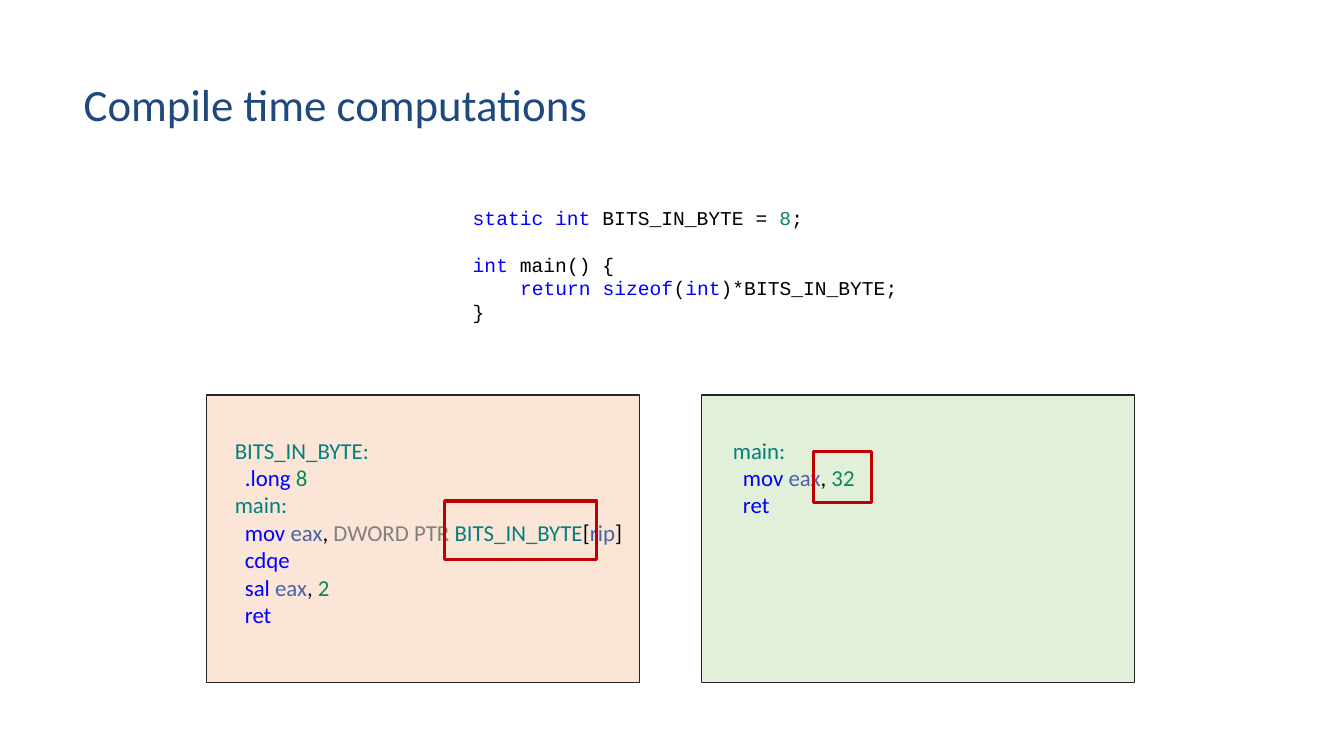
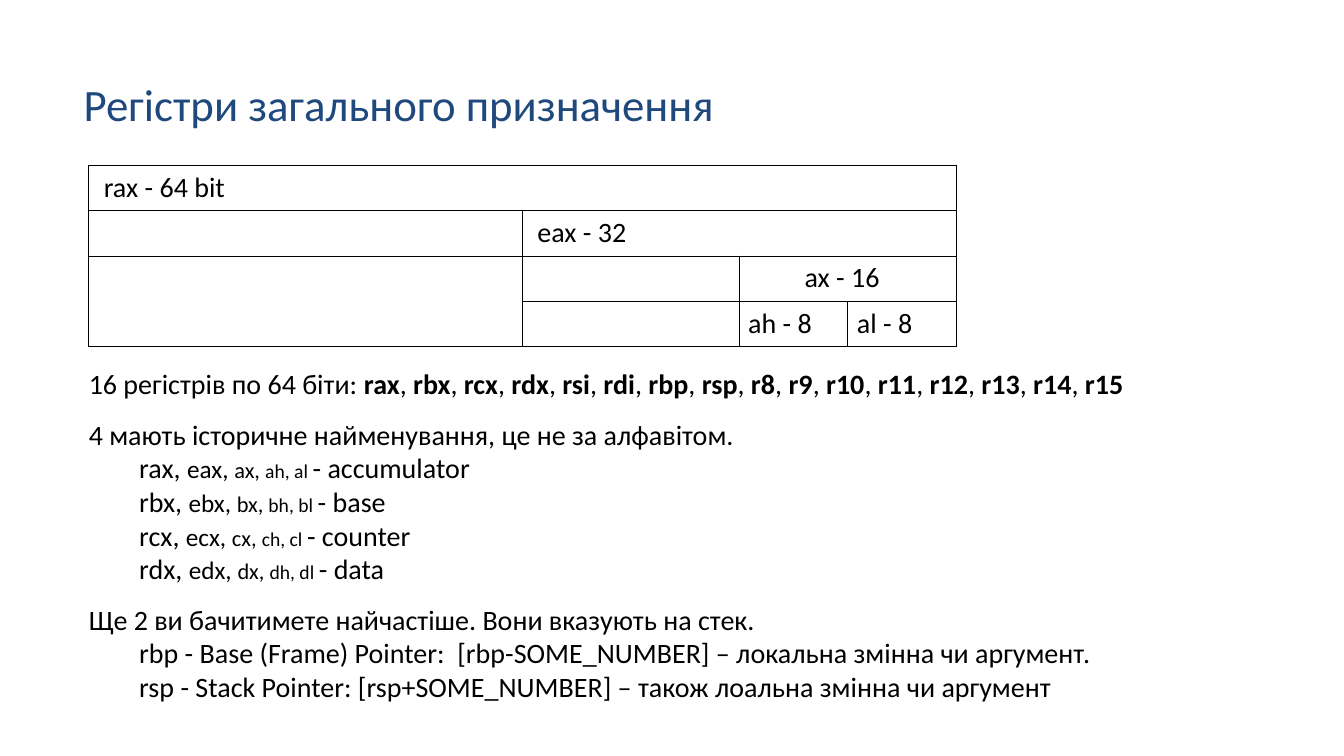
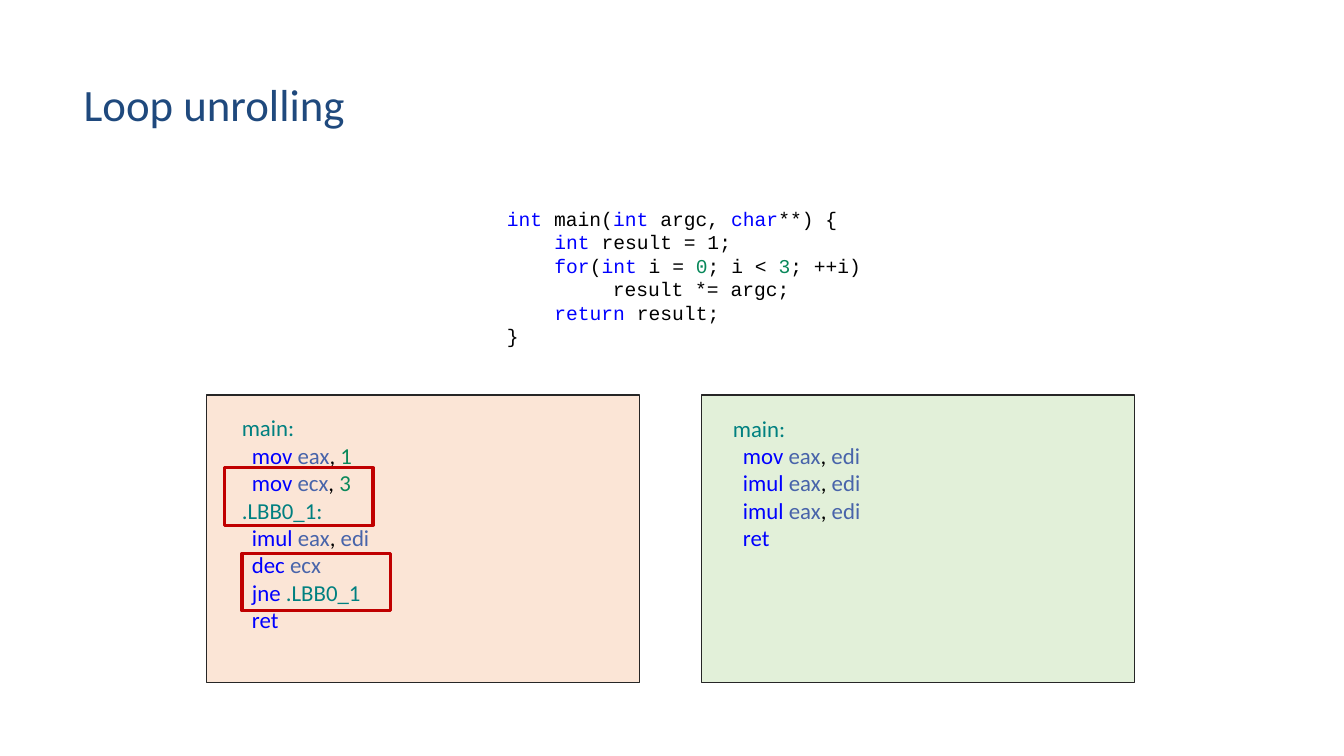
from dataclasses import dataclass
from functools import partial

from lxml.etree import SubElement
from pptx import Presentation
from pptx.dml.color import RGBColor
from pptx.enum.shapes import MSO_SHAPE
from pptx.enum.text import MSO_ANCHOR, MSO_AUTO_SIZE, PP_ALIGN
from pptx.oxml.ns import qn
from pptx.util import Pt

PX = 9144  # 100 px to the inch

BLACK, NAVY, RED, CHARCOAL = "000000", "1F497D", "C00000", "262626"
PEACH, MINT = "FBE5D6", "E2F0D9"
REGISTERS = {"eax", "ecx", "edi", "rip"}
ASSEMBLY_INDENT = 10
CODE_INDENT = 47
CODE_PITCH = 16.8


@dataclass
class Span:
    text: str
    color: str = BLACK
    size: float = None
    bold: bool = False


@dataclass
class Line:
    spans: list
    indent: int = 0
    before: float = 0
    after: float = 0


keyword = partial(Span, color="0000FF")
number = partial(Span, color="09885A")
label = partial(Span, color="008080")
register = partial(Span, color="4864AA")
directive = partial(Span, color="808080")


def rgb(color):
    return RGBColor.from_string(color)


def label_line(name):
    return Line([label(name)])


def instruction(opcode, *operands):
    """An indented assembly line; an operand is a word or a ready list of spans."""
    spans = [keyword(opcode + " " if operands else opcode)]
    for position, operand in enumerate(operands):
        if position:
            spans.append(Span(", "))
        if isinstance(operand, list):
            spans += operand
        elif operand.isdigit():
            spans.append(number(operand))
        else:
            spans.append((register if operand in REGISTERS else label)(operand))
    return Line(spans, ASSEMBLY_INDENT)


class SlideBuilder:
    def __init__(self):
        self.deck = Presentation()
        self.deck.slide_width, self.deck.slide_height = 1333 * PX, 750 * PX
        self.slide = None

    def new_slide(self, title, layout="Title Only"):
        self.slide = self.deck.slides.add_slide(self.deck.slide_layouts.get_by_name(layout))
        heading = self.slide.shapes.title
        self.place(heading, 73, 71, 1180, 64)
        self.fill_frame(heading.text_frame, [Line([Span(title, NAVY)])], 32)

    def place(self, shape, left, top, width, height):
        shape.left, shape.top = left * PX, top * PX
        shape.width, shape.height = width * PX, height * PX

    def fill_frame(self, frame, lines, size, font="Calibri", pitch=1.0):
        frame.word_wrap = True
        frame.auto_size = MSO_AUTO_SIZE.NONE
        frame.vertical_anchor = MSO_ANCHOR.TOP
        for position, line in enumerate(lines):
            para = frame.add_paragraph() if position else frame.paragraphs[0]
            self.fill_paragraph(para, line, size, font, pitch)

    def fill_paragraph(self, para, line, size, font="Calibri", pitch=1.0):
        para.alignment = PP_ALIGN.LEFT
        para.line_spacing = pitch
        para.space_before, para.space_after = Pt(line.before), Pt(line.after)
        properties = para._p.get_or_add_pPr()
        properties.set("marL", str(line.indent * PX))
        properties.set("indent", "0")
        SubElement(properties, qn("a:buNone"))
        for span in line.spans:
            run = para.add_run()
            run.text = span.text
            run.font.name, run.font.size = font, Pt(span.size or size)
            run.font.bold = span.bold
            run.font.color.rgb = rgb(span.color)

    def text(self, left, top, width, height, lines, **style):
        box = self.slide.shapes.add_textbox(left * PX, top * PX, width * PX, height * PX)
        self.fill_frame(box.text_frame, lines, **style)

    def code(self, left, top, width, height, lines):
        self.text(left, top, width, height, lines,
                  size=14, font="Courier New", pitch=Pt(CODE_PITCH))

    def assembly(self, left, top, width, height, lines):
        self.text(left, top, width, height, lines, size=16.3)

    def body(self, left, top, width, height, lines):
        holder = self.slide.placeholders[1]
        self.place(holder, left, top, width, height)
        frame = holder.text_frame
        frame.margin_left = frame.margin_right = 9 * PX
        frame.margin_top = frame.margin_bottom = 4 * PX
        self.fill_frame(frame, lines, 20)

    def rectangle(self, left, top, width, height, line, weight, fill=None):
        shape = self.slide.shapes.add_shape(
            MSO_SHAPE.RECTANGLE, left * PX, top * PX, width * PX, height * PX)
        shape.shadow.inherit = False
        if fill:
            shape.fill.solid()
            shape.fill.fore_color.rgb = rgb(fill)
        else:
            shape.fill.background()
        shape.line.color.rgb = rgb(line)
        shape.line.width = Pt(weight)

    def panels(self):
        """The unoptimised (left) and optimised (right) listing backgrounds."""
        for left, fill in ((205, PEACH), (696, MINT)):
            self.rectangle(left, 392, 429, 285, CHARCOAL, 1, fill)

    def highlight(self, left, top, width, height):
        self.rectangle(left, top, width, height, RED, 2.25)

    def grid(self, left, top, widths, row_height, rows, merges, labels):
        """A bordered table; merges are pairs of corners, labels map a cell to text and indent."""
        table = self.slide.shapes.add_table(
            rows, len(widths), left * PX, top * PX,
            sum(widths) * PX, rows * row_height * PX).table
        table.first_row = table.horz_banding = False
        for column, width in zip(table.columns, widths):
            column.width = width * PX
        for row in table.rows:
            row.height = row_height * PX
        for cell in table.iter_cells():
            cell.margin_left = cell.margin_right = 9 * PX
            cell.margin_top = cell.margin_bottom = 5 * PX
            self.border(cell)
            cell.fill.background()
        for start, end in merges:
            table.cell(*start).merge(table.cell(*end))
        for position, (words, indent) in labels.items():
            para = table.cell(*position).text_frame.paragraphs[0]
            self.fill_paragraph(para, Line([Span(words)], indent), 20)

    def border(self, cell):
        properties = cell._tc.get_or_add_tcPr()
        for side in ("lnL", "lnR", "lnT", "lnB"):
            edge = SubElement(properties, qn(f"a:{side}"), w=str(Pt(0.75)))
            SubElement(SubElement(edge, qn("a:solidFill")), qn("a:srgbClr"), val=BLACK)


def compile_time_slide(builder):
    builder.new_slide("Compile time computations")
    builder.panels()
    builder.code(459, 199, 515, 128, [
        Line([keyword("static int"), Span(" BITS_IN_BYTE = "), number("8"), Span(";")]),
        Line([keyword("int"), Span(" main() {")], before=CODE_PITCH),
        Line([keyword("return sizeof"), Span("("), keyword("int"),
              Span(")*BITS_IN_BYTE;")], CODE_INDENT),
        Line([Span("}")]),
    ])
    memory_operand = [directive("DWORD PTR "), label("BITS_IN_BYTE"),
                      Span("["), register("rip"), Span("]")]
    builder.assembly(223, 428, 419, 202, [
        label_line("BITS_IN_BYTE:"),
        instruction(".long", "8"),
        label_line("main:"),
        instruction("mov", "eax", memory_operand),
        instruction("cdqe"),
        instruction("sal", "eax", "2"),
        instruction("ret"),
    ])
    builder.assembly(717, 428, 326, 93, [
        label_line("main:"),
        instruction("mov", "eax", "32"),
        instruction("ret"),
    ])
    builder.highlight(441, 497, 151, 58)
    builder.highlight(807, 448, 57, 51)


def registers_slide(builder):
    builder.new_slide("Регістри загального призначення", "Title and Content")
    builder.grid(
        88, 164, [430, 215, 108, 108], 45, rows=4,
        merges=[((0, 0), (0, 3)), ((1, 1), (1, 3)), ((2, 0), (3, 0)), ((2, 2), (2, 3))],
        labels={(0, 0): ("rax - 64 bit", 6), (1, 1): ("eax - 32", 6),
                (2, 2): ("ax - 16", 56), (3, 2): ("ah - 8", 0), (3, 3): ("al - 8", 0)})

    names = ["rax", "rbx", "rcx", "rdx", "rsi", "rdi", "rbp", "rsp"]
    names += [f"r{index}" for index in range(8, 16)]
    summary = [Span("16 регістрів по 64 біти: ")]
    for name in names:
        summary += [Span(name, bold=True), Span(", ")]
    summary.pop()

    roles = {"a": "accumulator", "b": "base", "c": "counter", "d": "data"}
    role_lines = [
        Line([Span(f"r{letter}x, "), Span(f"e{letter}x, ", size=18),
              Span(f"{letter}x, ", size=16), Span(f"{letter}h, {letter}l ", size=14),
              Span(f"- {role}")], 50, after=12 if letter == "d" else 0)
        for letter, role in roles.items()]
    builder.body(79, 360, 1228, 372, [
        Line(summary, after=12),
        Line([Span("4 мають історичне найменування, це не за алфавітом.")]),
        *role_lines,
        Line([Span("Ще 2 ви бачитимете найчастіше. Вони вказують на стек.")]),
        Line([Span("rbp - Base (Frame) Pointer:  [rbp-SOME_NUMBER] – "
                   "локальна змінна чи аргумент.")], 50),
        Line([Span("rsp - Stack Pointer: [rsp+SOME_NUMBER] – "
                   "також лоальна змінна чи аргумент")], 50),
    ])


def loop_unrolling_slide(builder):
    builder.new_slide("Loop unrolling")
    builder.panels()
    builder.code(493, 200, 500, 151, [
        Line([keyword("int"), Span(" main("), keyword("int "), Span("argc, "),
              keyword("char"), Span("**) {")]),
        Line([keyword("int"), Span(" result = 1;")], CODE_INDENT),
        Line([keyword("for"), Span("("), keyword("int "), Span("i = "), number("0"),
              Span("; i < "), number("3"), Span("; ++i)")], CODE_INDENT),
        Line([Span("result *= argc;")], 105),
        Line([keyword("return"), Span(" result;")], CODE_INDENT),
        Line([Span("}")]),
    ])
    builder.assembly(230, 406, 397, 230, [
        label_line("main:"),
        instruction("mov", "eax", "1"),
        instruction("mov", "ecx", "3"),
        label_line(".LBB0_1:"),
        instruction("imul", "eax", "edi"),
        instruction("dec", "ecx"),
        instruction("jne", ".LBB0_1"),
        instruction("ret"),
    ])
    builder.assembly(717, 406, 326, 148, [
        label_line("main:"),
        *[instruction(opcode, "eax", "edi") for opcode in ("mov", "imul", "imul")],
        instruction("ret"),
    ])
    for left, top in ((223, 464), (240, 549)):
        builder.highlight(left, top, 147, 57)


def main():
    builder = SlideBuilder()
    compile_time_slide(builder)
    registers_slide(builder)
    loop_unrolling_slide(builder)
    builder.deck.save("out.pptx")


if __name__ == "__main__":
    main()
